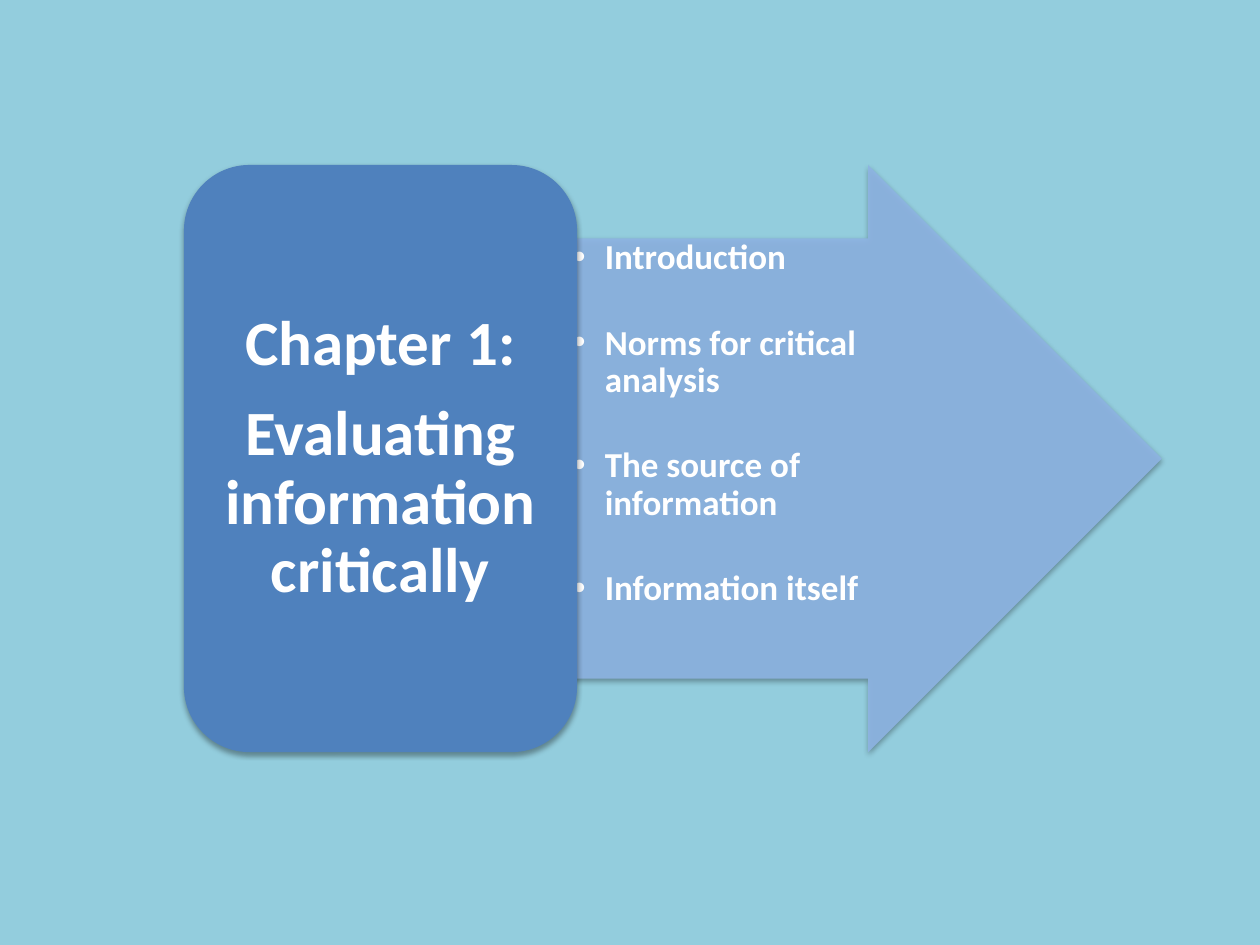
from lxml import etree
from pptx import Presentation
from pptx.dml.color import RGBColor
from pptx.enum.shapes import MSO_SHAPE
from pptx.enum.text import MSO_ANCHOR, MSO_AUTO_SIZE, PP_ALIGN
from pptx.oxml.ns import qn
from pptx.util import Inches, Pt

HEADING = ["Chapter 1:", "Evaluating information critically"]
TOPICS = [
    "Introduction",
    "Norms for critical analysis",
    "The source of information",
    "Information itself",
]
COLORS = {
    "background": "93CDDD",
    "panel": "4F81BD",
    "arrow": "8EB4E3",
    "text": "FFFFFF",
    "shadow": "000000",
}
FONT = "Calibri"
TITLE_ONLY = 5
LINE_SPACING = 0.9

# Inches: the panel and the arrow share a top and a height
TOP, HEIGHT = 1.31, 4.66
PANEL_LEFT, PANEL_WIDTH = 1.46, 3.12
ARROW_LEFT, ARROW_WIDTH = 4.54, 4.68
HEADING_INSET = 0.15
SHAFT_SHARE = 0.75
HEAD_SHARE = 0.5
SHAFT_HEIGHT = HEIGHT * SHAFT_SHARE
SHAFT_TOP = TOP + (HEIGHT - SHAFT_HEIGHT) / 2


def rgb(name):
    return RGBColor.from_string(COLORS[name])


def set_alpha(color_element, percent):
    etree.SubElement(color_element, qn("a:alpha"), val=str(percent * 1000))


def add_block(slide, preset, box, color):
    """Add a filled shape without outline, with a soft shadow below it."""
    shape = slide.shapes.add_shape(preset, *map(Inches, box))
    shape.fill.solid()
    shape.fill.fore_color.rgb = rgb(color)
    shape.line.fill.background()
    shape.shadow.inherit = False
    effects = shape._element.spPr.find(qn("a:effectLst"))
    shadow = etree.SubElement(
        effects, qn("a:outerShdw"), blurRad=str(Pt(3.1)), dist=str(Pt(1.8)),
        dir="5400000", rotWithShape="0")
    shadow_color = etree.SubElement(shadow, qn("a:srgbClr"), val=COLORS["shadow"])
    set_alpha(shadow_color, 35)
    return shape


def add_bullet(paragraph, indent):
    properties = paragraph._p.get_or_add_pPr()
    properties.set("marL", str(Inches(indent)))
    properties.set("indent", str(-Inches(indent)))
    etree.SubElement(properties, qn("a:buFont"), typeface="Arial")
    etree.SubElement(properties, qn("a:buChar"), char="•")


def fill_text(shape, lines, size, gap, insets, anchor, alignment, bullet_indent=None):
    frame = shape.text_frame
    frame.word_wrap = True
    frame.auto_size = MSO_AUTO_SIZE.NONE
    frame.vertical_anchor = anchor
    frame.margin_left = frame.margin_right = Inches(insets[0])
    frame.margin_top = frame.margin_bottom = Inches(insets[1])
    for index, line in enumerate(lines):
        paragraph = frame.add_paragraph() if index else frame.paragraphs[0]
        paragraph.alignment = alignment
        paragraph.line_spacing = LINE_SPACING
        paragraph.space_before = Pt(0)
        paragraph.space_after = Pt(gap)
        if bullet_indent:
            add_bullet(paragraph, bullet_indent)
        run = paragraph.add_run()
        run.text = line
        run.font.name = FONT
        run.font.size = Pt(size)
        run.font.bold = True
        run.font.color.rgb = rgb("text")


def main():
    presentation = Presentation()
    presentation.slide_width, presentation.slide_height = Inches(10), Inches(7.5)
    slide = presentation.slides.add_slide(presentation.slide_layouts[TITLE_ONLY])
    slide.background.fill.solid()
    slide.background.fill.fore_color.rgb = rgb("background")

    arrow = add_block(slide, MSO_SHAPE.RIGHT_ARROW,
                      (ARROW_LEFT, TOP, ARROW_WIDTH, HEIGHT), "arrow")
    arrow.adjustments[0], arrow.adjustments[1] = SHAFT_SHARE, HEAD_SHARE
    set_alpha(arrow._element.spPr.find(qn("a:solidFill"))[0], 90)

    topics_box = (ARROW_LEFT, SHAFT_TOP, 2.93, SHAFT_HEIGHT)
    topics = slide.shapes.add_textbox(*map(Inches, topics_box))
    fill_text(topics, TOPICS, 20, 27, (0.01, 0.01), MSO_ANCHOR.TOP,
              PP_ALIGN.LEFT, bullet_indent=0.25)

    panel = add_block(slide, MSO_SHAPE.ROUNDED_RECTANGLE,
                      (PANEL_LEFT, TOP, PANEL_WIDTH, HEIGHT), "panel")

    title = slide.shapes.title
    title.left = Inches(PANEL_LEFT + HEADING_INSET)
    title.top = Inches(TOP + HEADING_INSET)
    title.width = Inches(PANEL_WIDTH - 2 * HEADING_INSET)
    title.height = Inches(HEIGHT - 2 * HEADING_INSET)
    fill_text(title, HEADING, 36, 12.6, (0.15, 0.07), MSO_ANCHOR.MIDDLE,
              PP_ALIGN.CENTER)
    panel._element.addnext(title._element)  # the heading lies on the panel

    presentation.save("out.pptx")


if __name__ == "__main__":
    main()
